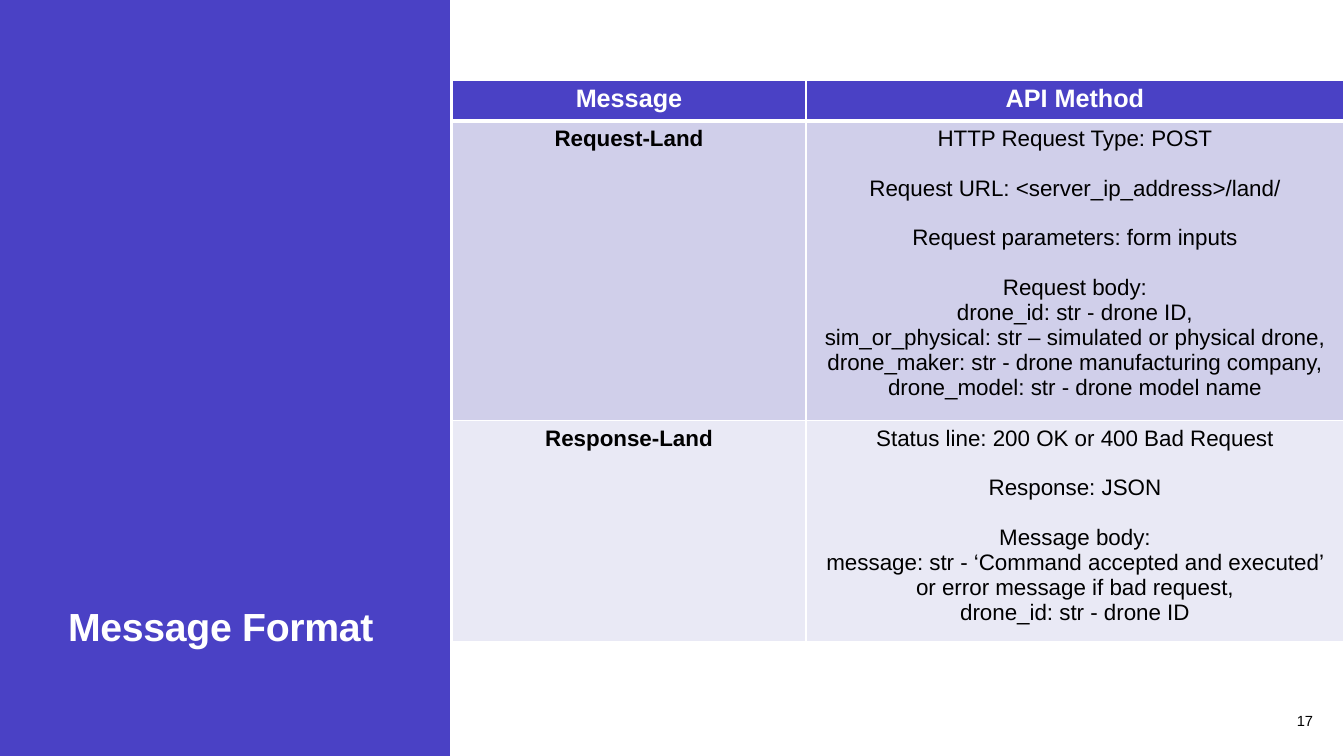
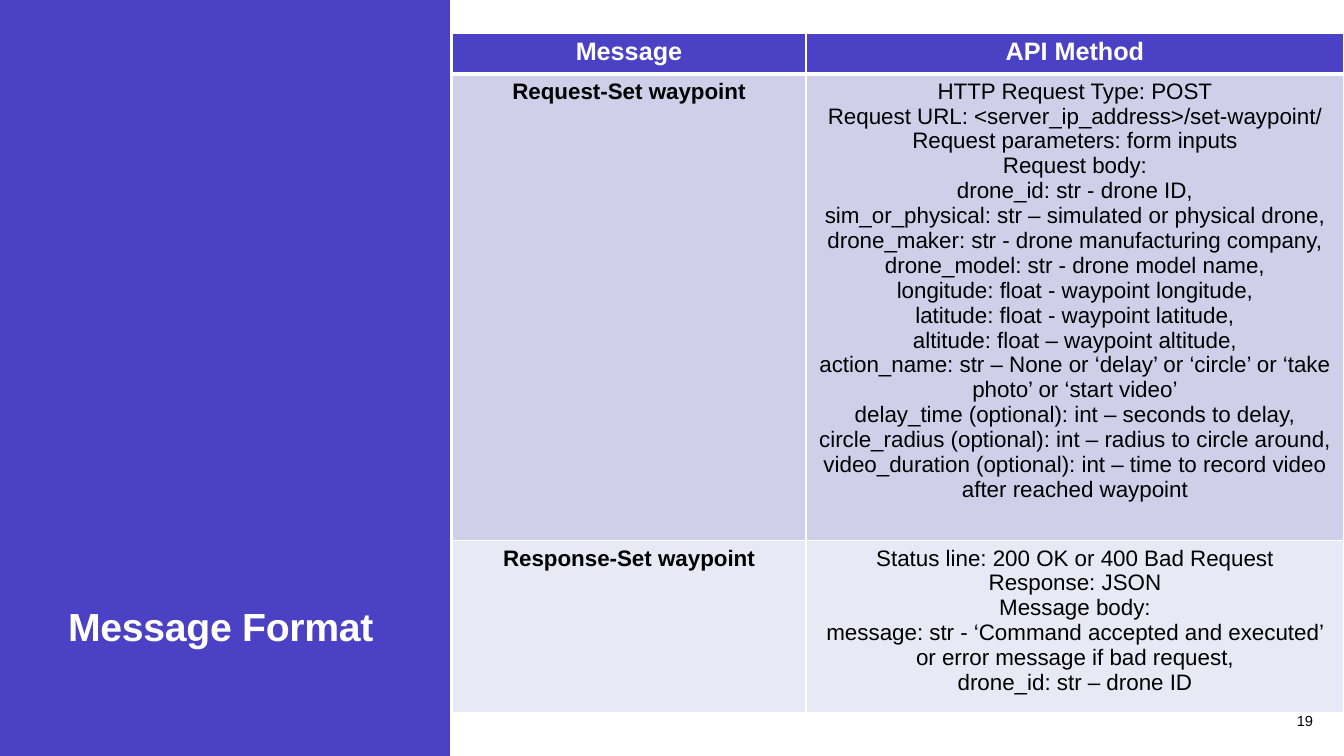
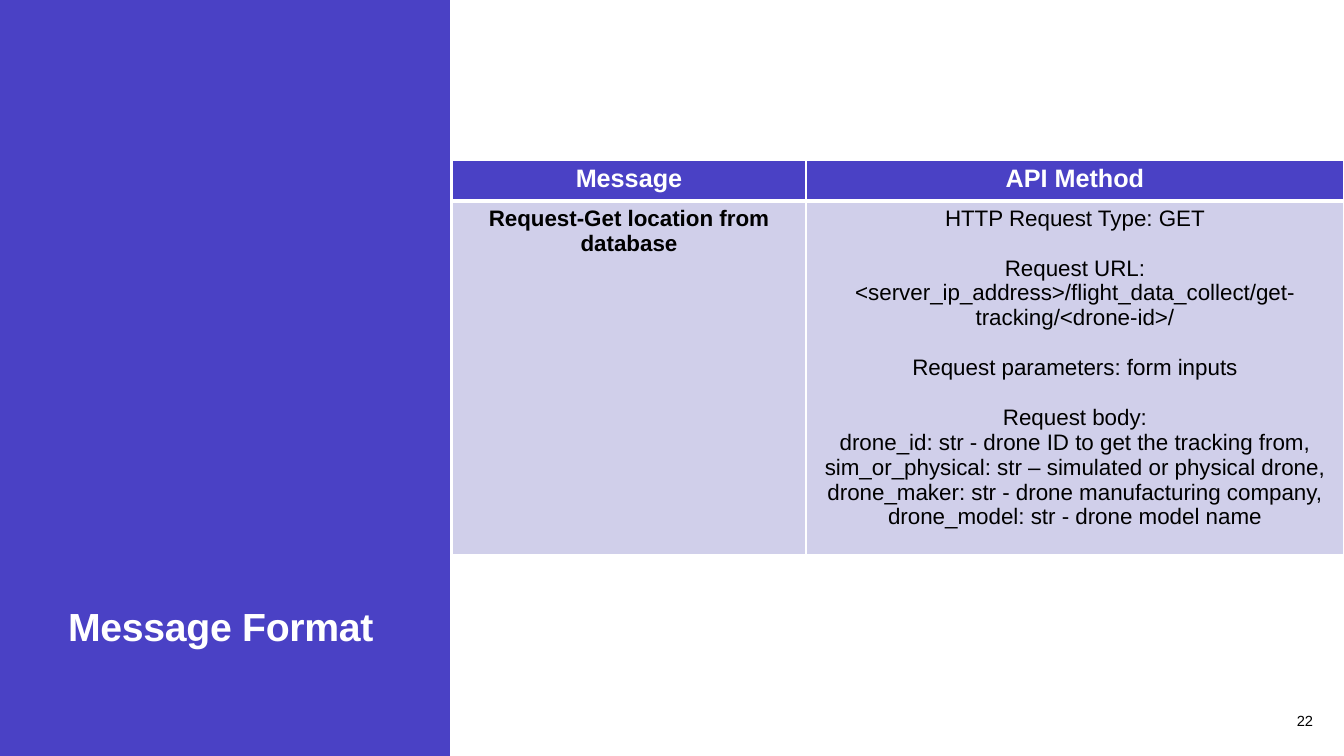
"""Build three message format slides, each with a purple title band and an API table."""
from lxml import etree
from pptx import Presentation
from pptx import util as u
from pptx.dml.color import RGBColor
from pptx.enum import shapes, text
from pptx.oxml.ns import qn

PURPLE, WHITE, BLACK = "4A41C5", "FFFFFF", "000000"
ROW_FILLS = [PURPLE, "D0CFEA", "E9E9F5"]
FONT = "Arial"
COLUMN_WIDTHS = [354, 538]
HEADER_HEIGHT = 41
GROUP_GAP = 17.8


def px(*lengths):
    return [round(length * 914400 / 100.8) for length in lengths]


def style(paragraph, size, color, bold, align):
    paragraph.alignment = align
    for run in paragraph.runs:
        run.font.name = FONT
        run.font.size = u.Pt(size)
        run.font.bold = bold
        run.font.color.rgb = RGBColor.from_string(color)


drone_fields = ("sim_or_physical: str – simulated or physical drone, "
                "drone_maker: str - drone manufacturing company, "
                "drone_model: str - drone model name")
form_inputs = ["Request parameters: form inputs"]
drone_id = "drone_id: str - drone ID"
status = [["Status line: 200 OK or 400 Bad Request"], ["Response: JSON"]]
message_body = ["Message body:",
                "message: str - ‘Command accepted and executed’ or error message if bad request,"]

pages = [
    {"number": "17", "top": 80, "gap": GROUP_GAP, "messages": [
        ("Request-Land", 284, [
            ["HTTP Request Type: POST"],
            ["Request URL: <server_ip_address>/land/"],
            form_inputs,
            ["Request body:", drone_id + ",", drone_fields]]),
        ("Response-Land", 209, status + [message_body + [drone_id]])]},
    {"number": "19", "top": 33, "gap": 0, "messages": [
        ("Request-Set waypoint", 433, [
            ["HTTP Request Type: POST"],
            ["Request URL: <server_ip_address>/set-waypoint/"],
            form_inputs,
            ["Request body:", drone_id + ",", drone_fields + ",",
             "longitude: float - waypoint longitude,",
             "latitude: float - waypoint latitude,",
             "altitude: float – waypoint altitude,",
             "action_name: str – None or ‘delay’ or ‘circle’ or ‘take photo’ or ‘start video’",
             "delay_time (optional): int – seconds to delay, "
             "circle_radius (optional): int – radius to circle around,",
             "video_duration (optional): int – time to record video after reached waypoint"]]),
        ("Response-Set waypoint", 158,
         status + [message_body + ["drone_id: str – drone ID"]])]},
    {"number": "22", "top": 160, "gap": GROUP_GAP, "messages": [
        ("Request-Get location from database", 333, [
            ["HTTP Request Type: GET"],
            ["Request URL: <server_ip_address>/flight_data_collect/get-tracking/<drone-id>/"],
            form_inputs,
            ["Request body:", drone_id + " to get the tracking from,", drone_fields]])]},
]

deck = Presentation()
deck.slide_width, deck.slide_height = px(1344, 756)

for page in pages:
    slide = deck.slides.add_slide(deck.slide_layouts[5])

    title = slide.shapes.title
    title.left, title.top, title.width, title.height = px(58, 86, 354, 569)
    title.text_frame.text = "Message Format"
    title.text_frame.auto_size = text.MSO_AUTO_SIZE.NONE
    title.text_frame.vertical_anchor = text.MSO_ANCHOR.BOTTOM
    heading = title.text_frame.paragraphs[0]
    heading.line_spacing = 0.9
    style(heading, 28, WHITE, True, text.PP_ALIGN.LEFT)
    heading.runs[0].font._element.set("spc", "-20")

    band = slide.shapes.add_shape(shapes.MSO_SHAPE.RECTANGLE, *px(0, 0, 450, 756))
    band.shadow.inherit = False
    band.fill.solid()
    band.fill.fore_color.rgb = RGBColor.from_string(PURPLE)
    band.line.fill.background()
    title._element.addprevious(band._element)

    page_number = slide.shapes.add_textbox(*px(1253, 701, 70, 40)).text_frame
    page_number.word_wrap = True
    page_number.vertical_anchor = text.MSO_ANCHOR.MIDDLE
    page_number.text = page["number"]
    style(page_number.paragraphs[0], 10.5, BLACK, False, text.PP_ALIGN.RIGHT)

    rows = [("Message", HEADER_HEIGHT, [["API Method"]])] + page["messages"]
    table_height = sum(height for _, height, _ in rows)
    api_table = slide.shapes.add_table(
        len(rows), 2, *px(452, page["top"], sum(COLUMN_WIDTHS), table_height)).table
    for column, width in zip(api_table.columns, px(*COLUMN_WIDTHS)):
        column.width = width

    for row_index, (message, height, method) in enumerate(rows):
        api_table.rows[row_index].height = px(height)[0]
        is_header = row_index == 0
        for column_index, groups in enumerate([[[message]], method]):
            cell = api_table.cell(row_index, column_index)
            properties = cell._tc.get_or_add_tcPr()
            for side in "LRTB":
                heavy = (is_header and side == "B") or (row_index == 1 and side == "T")
                border = etree.SubElement(properties, qn("a:ln" + side),
                                          w=str(u.Pt(3 if heavy else 1)))
                border_fill = etree.SubElement(border, qn("a:solidFill"))
                etree.SubElement(border_fill, qn("a:srgbClr"), val=WHITE)
            cell.fill.solid()
            cell.fill.fore_color.rgb = RGBColor.from_string(ROW_FILLS[row_index])

            lines = [(line, group_index > 0 and line_index == 0)
                     for group_index, group in enumerate(groups)
                     for line_index, line in enumerate(group)]
            cell.text_frame.text = "\n".join(line for line, _ in lines)
            for paragraph, (_, starts_group) in zip(cell.text_frame.paragraphs, lines):
                if starts_group and page["gap"]:
                    paragraph.space_before = u.Pt(page["gap"])
                style(paragraph, 18 if is_header else 16, WHITE if is_header else BLACK,
                      is_header or column_index == 0, text.PP_ALIGN.CENTER)

deck.save("out.pptx")
